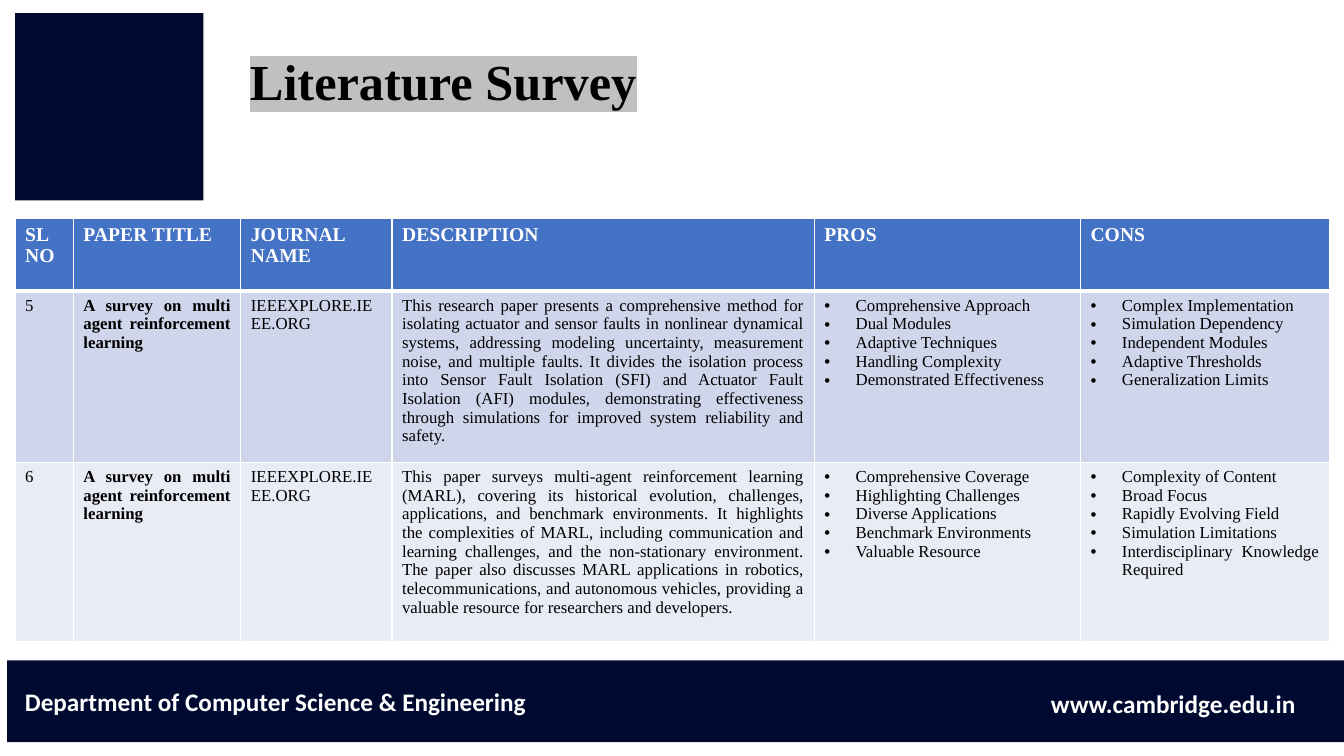
from dataclasses import dataclass

from lxml import etree
from pptx import Presentation
from pptx.dml.color import RGBColor
from pptx.enum.shapes import MSO_SHAPE
from pptx.enum.text import MSO_AUTO_SIZE, PP_ALIGN
from pptx.oxml.ns import qn
from pptx.util import Cm, Pt

RECTANGLE = MSO_SHAPE.RECTANGLE
GROW = MSO_AUTO_SIZE.SHAPE_TO_FIT_TEXT
LEFT, RIGHT, JUSTIFY = PP_ALIGN.LEFT, PP_ALIGN.RIGHT, PP_ALIGN.JUSTIFY


@dataclass(frozen=True)
class Theme:
    navy: str = "000A30"
    white: str = "FFFFFF"
    black: str = "000000"
    highlight: str = "C0C0C0"
    header: str = "4472C4"
    bands: tuple = ("CFD5EA", "E9EBF5")
    title_size: int = 36
    footer_size: int = 18
    header_size: int = 14
    body_size: int = 12
    serif: str = "Times New Roman"
    sans: str = "Calibri"
    thin: int = 1
    thick: int = 3
    bullet_indent: float = 0.79


HEADINGS = ["SL NO", "PAPER TITLE", "JOURNAL NAME", "DESCRIPTION", "PROS", "CONS"]
COLUMN_WIDTHS = [1.47, 4.22, 3.81, 10.64, 6.71, 6.27]
ROW_HEIGHTS = [1.83, 4.31, 4.5]
BOLD_COLUMN = HEADINGS.index("PAPER TITLE")
PAPER_TITLE = "A survey on multi agent reinforcement learning"
JOURNAL = "IEEEXPLORE.IEEE.ORG"
PAPERS = [
    [
        "5", PAPER_TITLE, JOURNAL,
        "This research paper presents a comprehensive method for isolating actuator and "
        "sensor faults in nonlinear dynamical systems, addressing modeling uncertainty, "
        "measurement noise, and multiple faults. It divides the isolation process into "
        "Sensor Fault Isolation (SFI) and Actuator Fault Isolation (AFI) modules, "
        "demonstrating effectiveness through simulations for improved system reliability "
        "and safety.",
        ["Comprehensive Approach", "Dual Modules", "Adaptive Techniques",
         "Handling Complexity", "Demonstrated Effectiveness"],
        ["Complex Implementation", "Simulation Dependency", "Independent Modules",
         "Adaptive Thresholds", "Generalization Limits"],
    ],
    [
        "6", PAPER_TITLE, JOURNAL,
        "This paper surveys multi-agent reinforcement learning (MARL), covering its "
        "historical evolution, challenges, applications, and benchmark environments. It "
        "highlights the complexities of MARL, including communication and learning "
        "challenges, and the non-stationary environment. The paper also discusses MARL "
        "applications in robotics, telecommunications, and autonomous vehicles, providing "
        "a valuable resource for researchers and developers.",
        ["Comprehensive Coverage", "Highlighting Challenges", "Diverse Applications",
         "Benchmark Environments", "Valuable Resource"],
        ["Complexity of Content", "Broad Focus", "Rapidly Evolving Field",
         "Simulation Limitations", "Interdisciplinary Knowledge Required"],
    ],
]


class SlideBuilder:
    def __init__(self, slide, theme):
        self.slide = slide
        self.theme = theme

    def block(self, left, top, width, height):
        shape = self.slide.shapes.add_shape(
            RECTANGLE, Cm(left), Cm(top), Cm(width), Cm(height))
        shape.shadow.inherit = False
        shape.fill.solid()
        shape.fill.fore_color.rgb = RGBColor.from_string(self.theme.navy)
        shape.line.fill.background()

    def run(self, paragraph, text, size, color, font_name, bold):
        run = paragraph.add_run()
        run.text = text
        run.font.size = Pt(size)
        run.font.bold = bold
        run.font.name = font_name
        run.font.color.rgb = RGBColor.from_string(color)
        return run

    def highlight(self, run):
        fill = run._r.get_or_add_rPr().find(qn("a:solidFill"))
        highlight = etree.Element(qn("a:highlight"))
        etree.SubElement(highlight, qn("a:srgbClr"), val=self.theme.highlight)
        fill.addnext(highlight)

    def label(self, text, left, top, width, height, size, color, font_name, alignment=LEFT):
        box = self.slide.shapes.add_textbox(Cm(left), Cm(top), Cm(width), Cm(height))
        frame = box.text_frame
        frame.word_wrap = True
        frame.auto_size = GROW
        paragraph = frame.paragraphs[0]
        paragraph.alignment = alignment
        return self.run(paragraph, text, size, color, font_name, True)

    def bullet(self, paragraph):
        indent = Cm(self.theme.bullet_indent)
        properties = paragraph._p.get_or_add_pPr()
        properties.set("marL", str(indent))
        properties.set("indent", str(-indent))
        etree.SubElement(properties, qn("a:buFont"), typeface="Arial")
        etree.SubElement(properties, qn("a:buChar"), char="•")

    def borders(self, cell, top, bottom):
        properties = cell._tc.get_or_add_tcPr()
        thin = self.theme.thin
        for side, width in (("L", thin), ("R", thin), ("T", top), ("B", bottom)):
            line = etree.SubElement(properties, qn(f"a:ln{side}"), w=str(Pt(width)))
            fill = etree.SubElement(line, qn("a:solidFill"))
            etree.SubElement(fill, qn("a:srgbClr"), val=self.theme.white)

    def cell(self, cell, content, fill, size, color, bold, top, bottom):
        self.borders(cell, top, bottom)
        cell.fill.solid()
        cell.fill.fore_color.rgb = RGBColor.from_string(fill)
        bulleted = isinstance(content, list)
        for index, text in enumerate(content if bulleted else [content]):
            frame = cell.text_frame
            paragraph = frame.add_paragraph() if index else frame.paragraphs[0]
            if bulleted:
                self.bullet(paragraph)
            paragraph.alignment = JUSTIFY
            self.run(paragraph, text, size, color, self.theme.serif, bold)

    def table(self, left, top, headings, papers, widths, heights):
        theme = self.theme
        table = self.slide.shapes.add_table(
            len(heights), len(widths), Cm(left), Cm(top),
            Cm(sum(widths)), Cm(sum(heights))).table
        for column, width in zip(table.columns, widths):
            column.width = Cm(width)
        for row, height in zip(table.rows, heights):
            row.height = Cm(height)
        for column, heading in enumerate(headings):
            self.cell(table.cell(0, column), heading, theme.header, theme.header_size,
                      theme.white, True, theme.thin, theme.thick)
        for row, (paper, band) in enumerate(zip(papers, theme.bands), start=1):
            upper = theme.thick if row == 1 else theme.thin
            for column, content in enumerate(paper):
                self.cell(table.cell(row, column), content, band, theme.body_size,
                          theme.black, column == BOLD_COLUMN, upper, theme.thin)


def main():
    theme = Theme()
    presentation = Presentation()
    presentation.slide_width = Cm(33.87)
    presentation.slide_height = Cm(19.05)
    slide = presentation.slides.add_slide(presentation.slide_layouts[6])
    builder = SlideBuilder(slide, theme)

    builder.block(0.38, 0.33, 4.75, 4.72)
    builder.block(0.18, 16.64, 33.69, 2.06)
    builder.label("Department of Computer Science & Engineering", 0.38, 17.17, 13.44, 1.02,
                  theme.footer_size, theme.white, theme.sans)
    builder.label("www.cambridge.edu.in", 25.81, 17.22, 7.09, 1.02,
                  theme.footer_size, theme.white, theme.sans, RIGHT)
    title = builder.label("Literature Survey", 6.05, 1.14, 16.94, 1.8,
                          theme.title_size, theme.black, theme.serif)
    builder.highlight(title)
    builder.table(0.38, 5.51, HEADINGS, PAPERS, COLUMN_WIDTHS, ROW_HEIGHTS)
    presentation.save("out.pptx")


if __name__ == "__main__":
    main()
